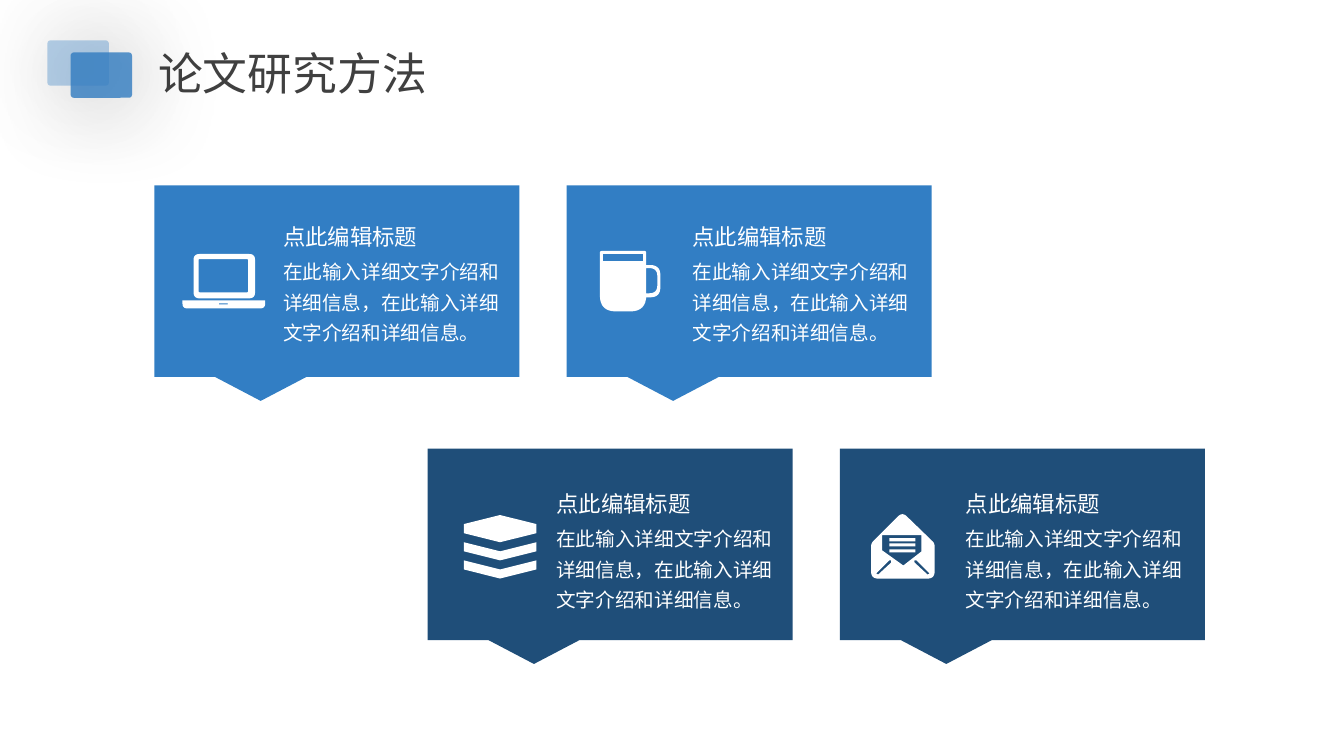
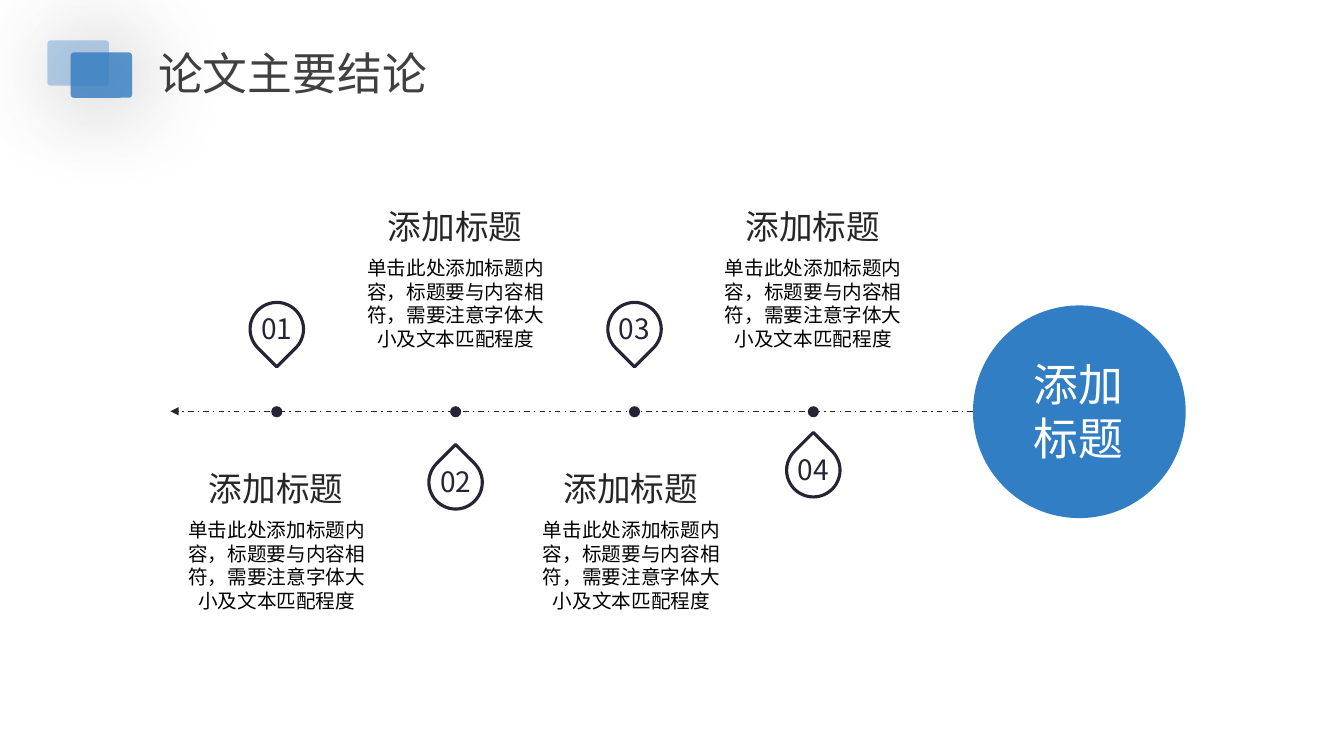
from dataclasses import dataclass
from typing import NamedTuple

from lxml import etree
from pptx import Presentation
from pptx.dml.color import RGBColor
from pptx.enum.dml import MSO_LINE
from pptx.enum.shapes import MSO_CONNECTOR, MSO_SHAPE
from pptx.enum.text import MSO_AUTO_SIZE, PP_ALIGN
from pptx.oxml import parse_xml
from pptx.oxml.ns import nsdecls, qn
from pptx.util import Inches, Pt

ROUNDED, CALLOUT = MSO_SHAPE.ROUNDED_RECTANGLE, MSO_SHAPE.RECTANGULAR_CALLOUT
OVAL, TEARDROP = MSO_SHAPE.OVAL, MSO_SHAPE.TEAR
STRAIGHT, DASH_DOT = MSO_CONNECTOR.STRAIGHT, MSO_LINE.DASH_DOT
LEFT, CENTER, JUSTIFY = PP_ALIGN.LEFT, PP_ALIGN.CENTER, PP_ALIGN.JUSTIFY
GROW = MSO_AUTO_SIZE.SHAPE_TO_FIT_TEXT

FONT = "Noto Sans CJK SC"
BLUE, NAVY, WHITE, BLACK = "327EC4", "1F4E79", "FFFFFF", "000000"
INK, TITLE_GREY, HEADING_GREY = "242434", "404040", "262626"

CARD_HEADING = "点此编辑标题"
CARD_BODY = "在此输入详细文字介绍和详细信息，在此输入详细文字介绍和详细信息。"
STEP_HEADING = "添加标题"
STEP_BODY = "单击此处添加标题内容，标题要与内容相符，需要注意字体大小及文本匹配程度"


class Corner(NamedTuple):
    x: float
    y: float
    radius: float = 0


Contour = list[Corner]


@dataclass
class Card:
    left: float
    top: float
    color: str
    text_left: float
    text_top: float
    icon_left: float
    icon_top: float
    icon: list[Contour]


@dataclass
class Step:
    number: str
    pin_top: float
    pin_turn: int
    heading_top: float
    text_shift: float = 0


def rgb(color: str) -> RGBColor:
    return RGBColor.from_string(color)


def add_text(page, left: float, top: float, width: float, height: float, text: str, *,
             size: int, color: str, align=LEFT, spacing: float | None = None,
             inset: float = 0.05):
    box = page.shapes.add_textbox(Inches(left), Inches(top), Inches(width), Inches(height))
    frame = box.text_frame
    frame.word_wrap = True
    frame.auto_size = GROW
    frame.margin_top = frame.margin_bottom = Inches(inset)
    frame.text = text
    for para in frame.paragraphs:
        para.alignment = align
        if spacing:
            para.line_spacing = spacing
        for span in para.runs:
            span.font.size = Pt(size)
            span.font.name = FONT
            span.font.color.rgb = rgb(color)
            east_asian = etree.SubElement(span.font._element, qn("a:ea"))
            east_asian.set("typeface", FONT)
    return box


def paint(shape, fill: str | None = None, line: str | None = None, weight: float = 1) -> None:
    shape.shadow.inherit = False
    if fill:
        shape.fill.solid()
        shape.fill.fore_color.rgb = rgb(fill)
    else:
        shape.fill.background()
    if line:
        shape.line.color.rgb = rgb(line)
        shape.line.width = Pt(weight)
    else:
        shape.line.fill.background()


def add_shape(page, kind, left: float, top: float, width: float, height: float, **colors):
    shape = page.shapes.add_shape(
        kind, Inches(left), Inches(top), Inches(width), Inches(height))
    paint(shape, **colors)
    return shape


def set_opacity(shape, percent: int) -> None:
    color = shape._element.spPr.find(qn("a:solidFill"))[0]
    etree.SubElement(color, qn("a:alpha")).set("val", str(percent * 1000))


def add_soft_shadow(shape) -> None:
    effects = shape._element.spPr.find(qn("a:effectLst"))
    effects.append(parse_xml(
        f'<a:outerShdw {nsdecls("a")} blurRad="{Pt(70)}" dist="{Pt(3)}" dir="2700000" '
        f'algn="tl" rotWithShape="0"><a:srgbClr val="{BLACK}"><a:alpha val="40000"/>'
        '</a:srgbClr></a:outerShdw>'))


def rectangle(left: float, top: float, right: float, bottom: float,
              top_radius: float = 0, bottom_radius: float = 0) -> Contour:
    return [Corner(left, top, top_radius), Corner(right, top, top_radius),
            Corner(right, bottom, bottom_radius), Corner(left, bottom, bottom_radius)]


def polygon(*points: tuple[float, ...]) -> Contour:
    return [Corner(*point) for point in points]


def mirror(contour: Contour, width: float) -> Contour:
    return [Corner(width - corner.x, corner.y, corner.radius) for corner in contour]


def toward(start: Corner, end: Corner, distance: float) -> tuple[float, float]:
    length = ((end.x - start.x) ** 2 + (end.y - start.y) ** 2) ** 0.5
    share = distance / length
    return start.x + (end.x - start.x) * share, start.y + (end.y - start.y) * share


def trace(contour: Contour, steps: int = 8) -> list[tuple[float, float]]:
    """Turn rounded corners into short straight pieces of a quadratic curve."""
    points = []
    for index, corner in enumerate(contour):
        if not corner.radius:
            points.append((corner.x, corner.y))
            continue
        start = toward(corner, contour[index - 1], corner.radius)
        end = toward(corner, contour[(index + 1) % len(contour)], corner.radius)
        for step in range(steps + 1):
            t = step / steps
            points.append(tuple(
                (1 - t) ** 2 * a + 2 * t * (1 - t) * b + t ** 2 * c
                for a, b, c in zip(start, (corner.x, corner.y), end)))
    return points


def add_icon(page, left: float, top: float, contours: list[Contour]) -> None:
    outlines = [[(Inches(left + x), Inches(top + y)) for x, y in trace(contour)]
                for contour in contours]
    builder = page.shapes.build_freeform(*outlines[0][0])
    for index, outline in enumerate(outlines):
        if index:
            builder.move_to(*outline[0])
        builder.add_line_segments(outline[1:], close=True)
    paint(builder.convert_to_shape(), fill=WHITE)


LAPTOP = [
    rectangle(0, 0.46, 0.82, 0.54, bottom_radius=0.05),
    rectangle(0.11, 0, 0.72, 0.44, 0.06, 0.06),
    rectangle(0.16, 0.05, 0.65, 0.38, 0.01, 0.01),
    rectangle(0.36, 0.49, 0.45, 0.5),
]
MUG = [
    rectangle(0, 0, 0.46, 0.6, 0.02, 0.16),
    rectangle(0.03, 0.03, 0.43, 0.1),
    polygon((0.46, 0.14), (0.6, 0.14, 0.1), (0.6, 0.46, 0.1), (0.46, 0.46),
            (0.46, 0.42), (0.57, 0.42, 0.08), (0.57, 0.17, 0.08), (0.46, 0.17)),
]
STACK = [
    polygon((0, 0.09), (0.36, 0), (0.72, 0.09), (0.72, 0.18), (0.36, 0.27), (0, 0.18)),
    *(polygon((0, y), (0.36, y + 0.09), (0.72, y), (0.72, y + 0.09),
              (0.36, y + 0.18), (0, y + 0.09)) for y in (0.27, 0.45)),
]
SLIT = polygon((0.05, 0.59), (0.07, 0.6), (0.2, 0.48), (0.2, 0.46), (0.18, 0.46), (0.06, 0.58))
ENVELOPE = [
    polygon((0, 0.29, 0.03), (0.31, -0.02, 0.06), (0.63, 0.29, 0.03),
            (0.63, 0.64, 0.07), (0, 0.64, 0.07)),
    polygon((0.11, 0.21), (0.11, 0.36), (0.32, 0.51), (0.5, 0.37), (0.5, 0.21)),
    *(rectangle(0.18, y, 0.44, y + 0.03) for y in (0.24, 0.29, 0.35)),
    SLIT,
    mirror(SLIT, 0.63),
]

CARDS = [
    Card(1.53, 1.84, BLUE, 2.71, 2.08, 1.81, 2.52, LAPTOP),
    Card(5.62, 1.84, BLUE, 6.77, 2.08, 5.95, 2.49, MUG),
    Card(4.24, 4.45, NAVY, 5.42, 4.73, 4.6, 5.11, STACK),
    Card(8.33, 4.45, NAVY, 9.48, 4.73, 8.64, 5.1, ENVELOPE),
]

POINT_DOWN, POINT_UP = 135, 315
FIRST_STEP, STEP_GAP, AXIS = 2.74, 1.774, 4.08
STEPS = [
    Step("01", 3, POINT_DOWN, 4.59),
    Step("02", 4.52, POINT_UP, 1.99),
    Step("03", 3, POINT_DOWN, 4.59, text_shift=-0.03),
    Step("04", 4.4, POINT_UP, 1.99),
]


def add_page(deck, title: str):
    page = deck.slides.add_slide(deck.slide_layouts[6])
    add_text(page, 1.47, 0.4, 3.78, 0.64, title, size=32, color=TITLE_GREY, align=JUSTIFY)
    for left, top, opacity in ((0.7, 0.52, 80), (0.47, 0.4, 35)):
        tile = add_shape(page, ROUNDED, left, top, 0.61, 0.45, fill=BLUE)
        tile.adjustments[0] = 0.07
        set_opacity(tile, opacity)
        add_soft_shadow(tile)
    return page


def draw_card(page, card: Card) -> None:
    add_shape(page, CALLOUT, card.left, card.top, 3.62, 1.9, fill=card.color)
    add_text(page, card.text_left, card.text_top + 0.38, 2.36, 1.02, CARD_BODY,
             size=14, color=WHITE, spacing=1.3)
    add_text(page, card.text_left, card.text_top, 1.95, 0.4, CARD_HEADING,
             size=16, color=WHITE, spacing=1.5, inset=0)
    add_icon(page, card.icon_left, card.icon_top, card.icon)


def draw_axis(page) -> None:
    add_shape(page, OVAL, 9.65, 3.03, 2.11, 2.11, fill=BLUE)
    add_text(page, 9.75, 3.49, 1.9, 1.18, "添加\n标题", size=32, color=WHITE, align=CENTER)
    axis = page.shapes.add_connector(
        STRAIGHT, Inches(9.65), Inches(AXIS), Inches(1.69), Inches(AXIS))
    axis.line.color.rgb = rgb(INK)
    axis.line.width = Pt(1)
    axis.line.dash_style = DASH_DOT
    properties = axis._element.spPr
    etree.SubElement(properties.find(qn("a:ln")), qn("a:tailEnd")).set("type", "triangle")
    etree.SubElement(properties, qn("a:effectLst"))


def draw_step(page, step: Step, center: float) -> None:
    add_shape(page, OVAL, center - 0.05, AXIS - 0.05, 0.11, 0.11, fill=INK)
    pin = add_shape(page, TEARDROP, center - 0.26, step.pin_top, 0.53, 0.53,
                    line=INK, weight=2.25)
    pin.rotation = step.pin_turn
    add_text(page, center - 0.35, step.pin_top + 0.04, 0.71, 0.44, step.number,
             size=20, color=INK, align=CENTER)
    text_center = center + step.text_shift
    add_text(page, text_center - 0.83, step.heading_top, 1.66, 0.5, STEP_HEADING,
             size=24, color=HEADING_GREY, align=CENTER)
    add_text(page, text_center - 1, step.heading_top + 0.5, 2.01, 1.04, STEP_BODY,
             size=14, color=BLACK, align=CENTER)


def main() -> None:
    deck = Presentation()
    deck.slide_width, deck.slide_height = Inches(13.33), Inches(7.5)

    methods = add_page(deck, "论文研究方法")
    for card in CARDS:
        draw_card(methods, card)

    conclusions = add_page(deck, "论文主要结论")
    draw_axis(conclusions)
    for index, step in enumerate(STEPS):
        draw_step(conclusions, step, FIRST_STEP + index * STEP_GAP)

    deck.save("out.pptx")


if __name__ == "__main__":
    main()
